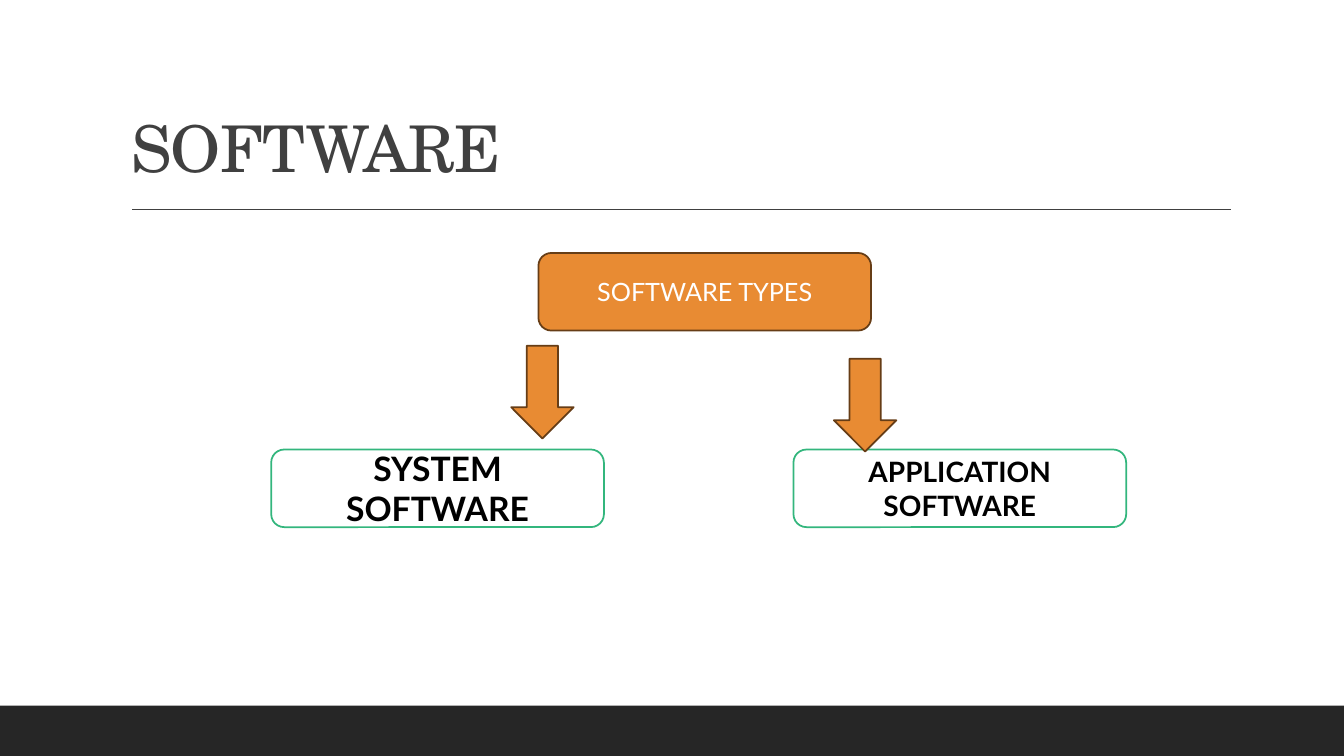
import pptx
import pptx.util
import pptx.dml.color
import pptx.enum.shapes
import pptx.enum.text
import pptx.oxml.ns
import lxml.etree

Inches = pptx.util.Inches
Pt = pptx.util.Pt
SHAPE = pptx.enum.shapes.MSO_SHAPE
ALIGN = pptx.enum.text.PP_ALIGN
ANCHOR = pptx.enum.text.MSO_ANCHOR

ORANGE, BROWN, GREEN = "E88B33", "663D16", "33B67D"
WHITE, BLACK, GREY, DARK = "FFFFFF", "000000", "404040", "262626"
BOX_W, BOX_H = 3.3, 0.77
ARROW_W, ARROW_H = 0.62, 0.92


def color(value):
    return pptx.dml.color.RGBColor.from_string(value)


def set_attrs(obj, values):
    for name, value in values.items():
        setattr(obj, name, value)


def add_text(tf, text, hue, frame, para, font):
    set_attrs(tf, frame)
    p = tf.paragraphs[0]
    set_attrs(p, para)
    r = p.add_run()
    r.text = text
    set_attrs(r.font, font)
    r.font.color.rgb = color(hue)
    return r


def add_shape(s, kind, x, y, w, h, fill, line=None):
    sp = s.shapes.add_shape(kind, Inches(x), Inches(y), Inches(w), Inches(h))
    sp.shadow.inherit = False
    sp.fill.solid()
    sp.fill.fore_color.rgb = color(fill)
    if line:
        sp.line.color.rgb = color(line)
        sp.line.width = Pt(1.25)
    else:
        sp.line.fill.background()
    return sp


def add_box(s, x, y, text, size, fill, line, hue, bold=False):
    sp = add_shape(s, SHAPE.ROUNDED_RECTANGLE, x, y, BOX_W, BOX_H, fill, line)
    add_text(sp.text_frame, text, hue,
             {"word_wrap": True, "vertical_anchor": ANCHOR.MIDDLE},
             {"alignment": ALIGN.CENTER},
             {"name": "Lato", "size": Pt(size), "bold": bold})


def add_rule(s, x1, x2, y):
    line = s.shapes.add_connector(pptx.enum.shapes.MSO_CONNECTOR.STRAIGHT,
                                  Inches(x1), Inches(y), Inches(x2), Inches(y))
    line.line.color.rgb = color(GREY)
    line.line.width = Pt(1)
    sp_pr = line._element.spPr
    lxml.etree.SubElement(sp_pr, pptx.oxml.ns.qn("a:effectLst"))


def add_title(s, text):
    title = s.shapes.title
    set_attrs(title, {"left": Inches(1.2), "top": Inches(0.31),
                      "width": Inches(11), "height": Inches(1.59)})
    r = add_text(title.text_frame, text, GREY,
                 {"word_wrap": True, "vertical_anchor": ANCHOR.BOTTOM,
                  "auto_size": pptx.enum.text.MSO_AUTO_SIZE.NONE},
                 {"alignment": ALIGN.LEFT, "line_spacing": 0.9},
                 {"name": "TeX Gyre Schola", "size": Pt(46)})
    r.font._element.set("spc", "-50")


def main():
    prs = pptx.Presentation()
    prs.slide_width, prs.slide_height = Inches(13.33), Inches(7.5)
    s = prs.slides.add_slide(prs.slide_layouts[5])

    add_shape(s, SHAPE.RECTANGLE, 0, 7, 13.33, 0.5, DARK)
    add_rule(s, 1.31, 12.21, 2.08)
    add_title(s, "SOFTWARE")

    add_box(s, 5.34, 2.51, "SOFTWARE TYPES", 18, ORANGE, BROWN, WHITE)
    for x, text, size in ((2.69, "SYSTEM SOFTWARE", 24),
                          (7.87, "APPLICATION SOFTWARE", 20)):
        add_box(s, x, 4.46, text, size, WHITE, GREEN, BLACK, bold=True)
    for x, y in ((5.07, 3.43), (8.27, 3.56)):
        add_shape(s, SHAPE.DOWN_ARROW, x, y, ARROW_W, ARROW_H, ORANGE, BROWN)

    prs.save("out.pptx")


if __name__ == "__main__":
    main()
